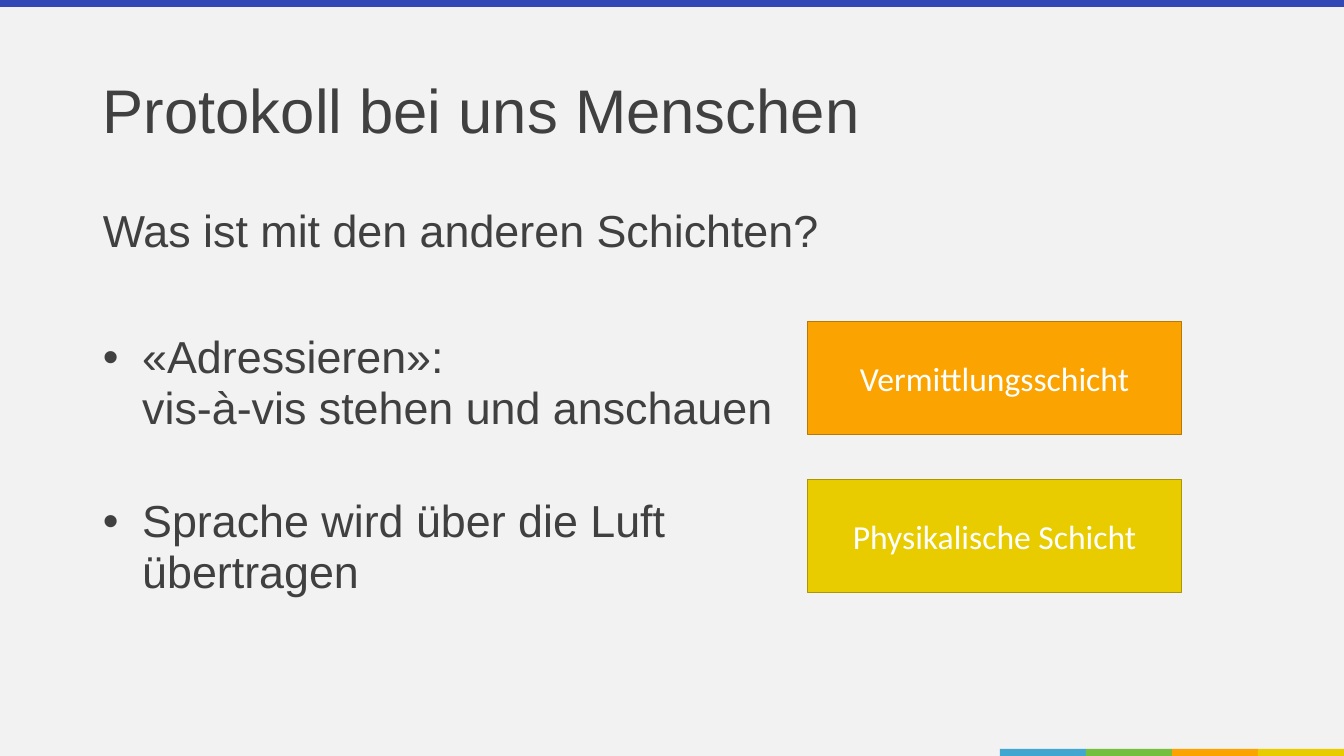
"""Build a slide on the lower protocol layers in human conversation."""
from lxml.etree import SubElement
from pptx import Presentation
from pptx.dml.color import RGBColor
from pptx.enum.shapes import MSO_SHAPE
from pptx.enum.text import MSO_ANCHOR, MSO_AUTO_SIZE, PP_ALIGN
from pptx.oxml.ns import qn
from pptx.util import Inches, Pt

BACKGROUND = RGBColor(0xF2, 0xF2, 0xF2)
INK = RGBColor(0x40, 0x40, 0x40)
WHITE = RGBColor(0xFF, 0xFF, 0xFF)
INDIGO = RGBColor(0x32, 0x48, 0xB5)
BLUE = RGBColor(0x41, 0xA7, 0xD1)
GREEN = RGBColor(0x74, 0xBF, 0x3D)
ORANGE = RGBColor(0xFB, 0xA3, 0x00)
DARK_ORANGE = RGBColor(0xBA, 0x79, 0x00)
YELLOW = RGBColor(0xE8, 0xCC, 0x00)
DARK_YELLOW = RGBColor(0xAC, 0x97, 0x00)

TITLE = "Protokoll bei uns Menschen"
BODY = [
    ("Was ist mit den anderen Schichten?", False, 0),
    ("«Adressieren»:\vvis-à-vis stehen und anschauen", True, 53.6),
    ("Sprache wird über die Luft\vübertragen", True, 44.3),
]
LAYERS = [
    ("Vermittlungsschicht", ORANGE, DARK_ORANGE),
    ("Physikalische Schicht", YELLOW, DARK_YELLOW),
]
STRIPES = [BLUE, GREEN, ORANGE, YELLOW]

WIDTH, HEIGHT = Inches(13.33), Inches(7.5)
MARGIN, CONTENT_WIDTH = Inches(0.92), Inches(11.5)
BAR_HEIGHT = Inches(0.07)
STRIPE_WIDTH = int(WIDTH * 0.064)
LAYER_LEFT, LAYER_TOP, LAYER_PITCH = Inches(8.01), Inches(3.19), Inches(1.57)
LAYER_WIDTH, LAYER_HEIGHT = Inches(3.71), Inches(1.12)
INDENT = Inches(0.39)


def add_box(page, left, top, width, height, fill):
    box = page.shapes.add_shape(MSO_SHAPE.RECTANGLE, left, top, width, height)
    box.shadow.inherit = False
    box.fill.solid()
    box.fill.fore_color.rgb = fill
    box.line.fill.background()
    return box


def style(para, size, font, color):
    for span in para.runs:
        span.font.size = Pt(size)
        span.font.name = font
        span.font.color.rgb = color


def set_bullet(para, bulleted):
    props = para._p.get_or_add_pPr()
    indent = INDENT if bulleted else 0
    props.set("marL", str(indent))
    props.set("indent", str(-indent))
    if bulleted:
        color = SubElement(props, qn("a:buClr"))
        SubElement(color, qn("a:srgbClr"), val=str(INK))
        SubElement(props, qn("a:buFont"), typeface="Arial")
        SubElement(props, qn("a:buChar"), char="•")
    else:
        SubElement(props, qn("a:buNone"))


def place(holder, top, height, anchor):
    holder.left, holder.top = MARGIN, top
    holder.width, holder.height = CONTENT_WIDTH, height
    frame = holder.text_frame
    frame.auto_size = MSO_AUTO_SIZE.NONE
    frame.vertical_anchor = anchor
    return frame


def main():
    deck = Presentation()
    deck.slide_width, deck.slide_height = WIDTH, HEIGHT
    page = deck.slides.add_slide(deck.slide_layouts[1])
    page.background.fill.solid()
    page.background.fill.fore_color.rgb = BACKGROUND

    add_box(page, 0, 0, WIDTH, BAR_HEIGHT, INDIGO)
    stripes_left = WIDTH - len(STRIPES) * STRIPE_WIDTH
    for column, color in enumerate(STRIPES):
        add_box(page, stripes_left + column * STRIPE_WIDTH, HEIGHT - BAR_HEIGHT,
                STRIPE_WIDTH, BAR_HEIGHT, color)

    frame = place(page.shapes.title, Inches(0.4), Inches(1.45), MSO_ANCHOR.MIDDLE)
    frame.text = TITLE
    para = frame.paragraphs[0]
    para.alignment = PP_ALIGN.LEFT
    para.line_spacing = 0.9
    style(para, 44, "Arial", INK)

    frame = place(page.placeholders[1], Inches(2), Inches(4.76), MSO_ANCHOR.TOP)
    for row, (text, bulleted, space) in enumerate(BODY):
        para = frame.add_paragraph() if row else frame.paragraphs[0]
        para.text = text
        set_bullet(para, bulleted)
        para.line_spacing = 0.95
        para.space_before = Pt(space)
        style(para, 32, "Arial", INK)

    for row, (name, fill, edge) in enumerate(LAYERS):
        box = add_box(page, LAYER_LEFT, LAYER_TOP + row * LAYER_PITCH,
                      LAYER_WIDTH, LAYER_HEIGHT, fill)
        box.line.color.rgb = edge
        box.line.width = Pt(1)
        box.text_frame.text = name
        box.text_frame.vertical_anchor = MSO_ANCHOR.MIDDLE
        para = box.text_frame.paragraphs[0]
        para.alignment = PP_ALIGN.CENTER
        style(para, 24, "Calibri", WHITE)

    deck.save("out.pptx")


if __name__ == "__main__":
    main()
